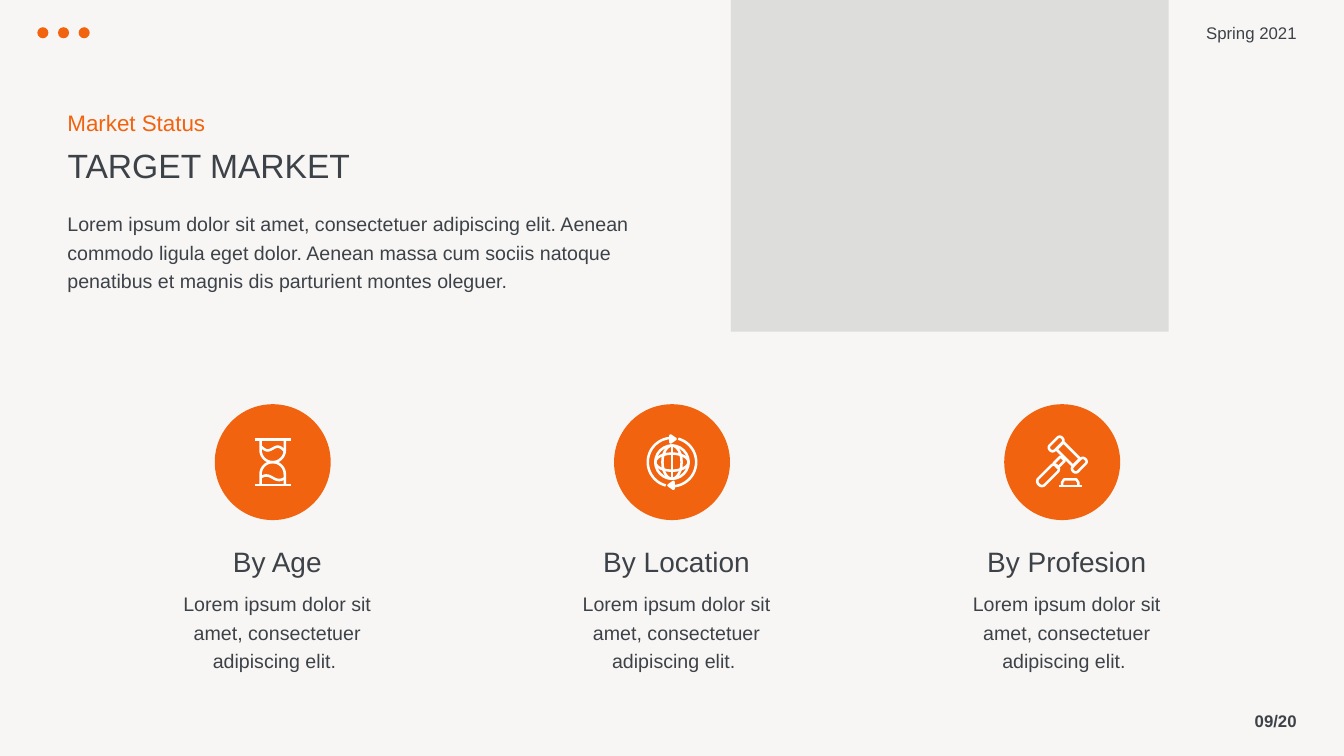
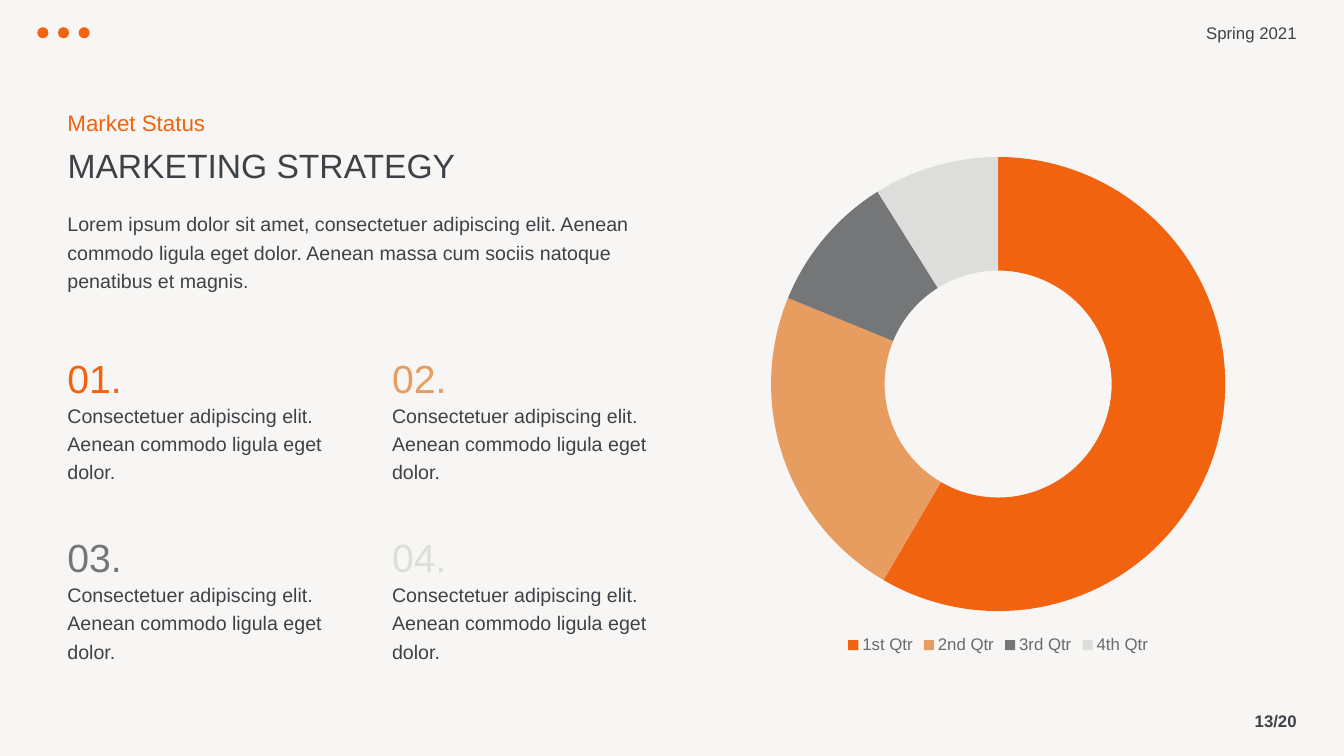
from dataclasses import dataclass
from math import cos, pi, radians, sin

from lxml.etree import SubElement
from pptx import Presentation
from pptx.chart.data import CategoryChartData
from pptx.dml.color import RGBColor
from pptx.enum.chart import XL_CHART_TYPE, XL_LEGEND_POSITION
from pptx.enum.shapes import MSO_CONNECTOR, MSO_SHAPE
from pptx.enum.text import MSO_ANCHOR, MSO_AUTO_SIZE, PP_ALIGN
from pptx.oxml.ns import qn
from pptx.util import Inches, Pt

FONT = "Arial"
PAPER = "F7F6F4"
INK = "3D4248"
ORANGE = "F1630F"
SAND = "E79D60"
GREY = "757677"
SILVER = "DDDDDC"
WHITE = "FFFFFF"
LEGEND = "6A6A6A"

LEFT = 0.57
ICON_STROKE = 1.8
CIRCLE_SIZE = 1.15
CIRCLE_TOP = 4.01

Spot = tuple[float, float]


@dataclass(frozen=True)
class Segment:
    name: str
    left: float


@dataclass(frozen=True)
class Quarter:
    name: str
    value: int
    color: str


@dataclass(frozen=True)
class Part:
    preset: MSO_SHAPE
    x: float
    y: float
    width: float
    height: float
    rotation: float = 0
    filled: bool = False


@dataclass(frozen=True)
class Bar:
    x: float
    y: float
    width: float
    height: float
    rotation: float
    radius: float = 0


SEGMENTS = [Segment("By Age", 1.46), Segment("By Location", 5.42), Segment("By Profesion", 9.29)]
QUARTERS = [
    Quarter("1st Qtr", 59, ORANGE),
    Quarter("2nd Qtr", 23, SAND),
    Quarter("3rd Qtr", 10, GREY),
    Quarter("4th Qtr", 9, SILVER),
]
GLOBE_PARTS = [
    Part(MSO_SHAPE.OVAL, 0, 0, 0.33, 0.33),
    Part(MSO_SHAPE.OVAL, 0, 0, 0.19, 0.33),
    Part(MSO_SHAPE.OVAL, 0, 0, 0.33, 0.17),
    Part(MSO_SHAPE.ISOSCELES_TRIANGLE, 0.01, -0.23, 0.07, 0.05, 90, True),
    Part(MSO_SHAPE.ISOSCELES_TRIANGLE, -0.01, 0.23, 0.07, 0.05, 270, True),
]
GAVEL_BARS = [
    Bar(-0.06, -0.18, 0.17, 0.07, -45, 0.03),
    Bar(0.17, 0.03, 0.17, 0.07, -45, 0.03),
    Bar(0.06, -0.08, 0.23, 0.1, 45),
    Bar(-0.03, 0, 0.1, 0.06, -45),
    Bar(-0.14, 0.13, 0.26, 0.09, -45, 0.04),
]


def rgb(color: str) -> RGBColor:
    return RGBColor.from_string(color)


def write_text(shape, text: str, *, size: float = 14, color: str = INK, bold: bool = False,
               align=PP_ALIGN.LEFT, anchor=MSO_ANCHOR.TOP, spacing: float = 1.0) -> None:
    frame = shape.text_frame
    frame.word_wrap = True
    frame.auto_size = MSO_AUTO_SIZE.NONE
    frame.vertical_anchor = anchor
    para = frame.paragraphs[0]
    para.alignment = align
    para.line_spacing = spacing
    span = para.add_run()
    span.text = text
    span.font.name = FONT
    span.font.size = Pt(size)
    span.font.bold = bold
    span.font.color.rgb = rgb(color)


def add_text(page, text: str, left: float, top: float, width: float, height: float, **style) -> None:
    box = page.shapes.add_textbox(Inches(left), Inches(top), Inches(width), Inches(height))
    write_text(box, text, **style)


def add_shape(shapes, preset, left: float, top: float, width: float, height: float, color: str):
    shape = shapes.add_shape(preset, Inches(left), Inches(top), Inches(width), Inches(height))
    shape.shadow.inherit = False
    shape.fill.solid()
    shape.fill.fore_color.rgb = rgb(color)
    shape.line.fill.background()
    return shape


def set_stroke(shape) -> None:
    shape.line.color.rgb = rgb(WHITE)
    shape.line.width = Pt(ICON_STROKE)


def add_part(shapes, center: Spot, part: Part) -> None:
    left = center[0] + part.x - part.width / 2
    top = center[1] + part.y - part.height / 2
    shape = add_shape(shapes, part.preset, left, top, part.width, part.height, WHITE)
    shape.rotation = part.rotation
    if not part.filled:
        shape.fill.background()
    set_stroke(shape)


def add_stroke(shapes, center: Spot, start: Spot, end: Spot) -> None:
    line = shapes.add_connector(
        MSO_CONNECTOR.STRAIGHT,
        Inches(center[0] + start[0]), Inches(center[1] + start[1]),
        Inches(center[0] + end[0]), Inches(center[1] + end[1]))
    SubElement(line.element.spPr, qn("a:effectLst"))
    set_stroke(line)


def add_outline(shapes, center: Spot, contours: list[list[Spot]]) -> None:
    tracks = [[(Inches(center[0] + x), Inches(center[1] + y)) for x, y in contour]
              for contour in contours]
    builder = shapes.build_freeform(*tracks[0][0])
    for index, track in enumerate(tracks):
        if index:
            builder.move_to(*track[0])
        builder.add_line_segments(track[1:], close=track[0] == track[-1])
    outline = builder.convert_to_shape()
    outline.shadow.inherit = False
    outline.fill.background()
    set_stroke(outline)


def arc(radius: float, start: float, end: float, steps: int = 36) -> list[Spot]:
    angles = [radians(start + (end - start) * step / steps) for step in range(steps + 1)]
    return [(radius * cos(angle), radius * sin(angle)) for angle in angles]


def wave(y: float, drop: float, height: float, steps: int = 24) -> list[Spot]:
    shares = [step / steps for step in range(steps + 1)]
    return [(-0.12 + 0.24 * share, y + drop * share + height * sin(2 * pi * share))
            for share in shares]


def bar_contour(bar: Bar) -> list[Spot]:
    across, down = bar.width / 2 - bar.radius, bar.height / 2 - bar.radius
    corners = [(across, down), (-across, down), (-across, -down), (across, -down)]
    points = [(x + dx, y + dy)
              for index, (x, y) in enumerate(corners)
              for dx, dy in arc(bar.radius, 90 * index, 90 * index + 90, 6)]
    turn = radians(bar.rotation)
    spots = [(bar.x + x * cos(turn) - y * sin(turn), bar.y + x * sin(turn) + y * cos(turn))
             for x, y in points]
    return [*spots, spots[0]]


def draw_hourglass(shapes, center: Spot) -> None:
    contours = [wave(-0.16, 0.05, 0.03), wave(0.15, 0.01, -0.02)]
    for side in (-1, 1):
        edge = 0.225 * side
        bulb = [(x, side * (0.12 - y)) for x, y in arc(0.12, 180, 0)]
        contours += [[(-0.18, edge), (0.18, edge)], [(-0.12, edge), *bulb, (0.12, edge)]]
    add_outline(shapes, center, contours)


def draw_globe(shapes, center: Spot) -> None:
    for part in GLOBE_PARTS:
        add_part(shapes, center, part)
    add_stroke(shapes, center, (0, -0.16), (0, 0.16))
    for start in (-75, 105):
        add_outline(shapes, center, [arc(0.24, start, start + 165)])


def draw_gavel(shapes, center: Spot) -> None:
    add_outline(shapes, center, [bar_contour(bar) for bar in GAVEL_BARS])
    block = [(0, 0.23), (0, 0.2), (0.02, 0.17), (0.14, 0.17), (0.16, 0.2), (0.16, 0.23)]
    add_outline(shapes, center, [block, [(-0.03, 0.235), (0.2, 0.235)]])


def start_page(deck, title: str, intro: str, number: str):
    page = deck.slides.add_slide(deck.slide_layouts[5])
    heading = page.shapes.title
    heading.left, heading.top = Inches(LEFT), Inches(1.39)
    heading.width, heading.height = Inches(5.32), Inches(0.5)
    write_text(heading, title, size=24, anchor=MSO_ANCHOR.BOTTOM)
    add_text(page, "Market Status", LEFT, 1.03, 3.55, 0.37, size=16, color=ORANGE)
    add_text(page, intro, LEFT, 2.01, 6.09, 0.93, spacing=1.2)
    corner = {"size": 12, "align": PP_ALIGN.RIGHT, "anchor": MSO_ANCHOR.MIDDLE}
    add_text(page, "Spring 2021", 11.38, 0.13, 1.58, 0.4, **corner)
    add_text(page, number, 9.96, 6.95, 3, 0.4, bold=True, **corner)
    dots = page.shapes.add_group_shape()
    for index in range(3):
        add_shape(dots.shapes, MSO_SHAPE.OVAL, 0.37 + 0.205 * index, 0.27, 0.11, 0.11, ORANGE)
    return page


def build_target_market(deck) -> None:
    page = start_page(
        deck, "TARGET MARKET",
        "Lorem ipsum dolor sit amet, consectetuer adipiscing elit. Aenean commodo ligula eget "
        "dolor. Aenean massa cum sociis natoque penatibus et magnis dis parturient montes oleguer.",
        "09/20")
    add_shape(page.shapes, MSO_SHAPE.RECTANGLE, 7.25, 0, 4.34, 3.29, SILVER)
    width = 2.58
    for segment, draw_icon in zip(SEGMENTS, (draw_hourglass, draw_globe, draw_gavel)):
        middle = segment.left + width / 2
        center = (middle - 0.045, CIRCLE_TOP + CIRCLE_SIZE / 2)
        add_shape(page.shapes, MSO_SHAPE.OVAL, center[0] - CIRCLE_SIZE / 2, CIRCLE_TOP,
                  CIRCLE_SIZE, CIRCLE_SIZE, ORANGE)
        draw_icon(page.shapes.add_group_shape().shapes, center)
        add_text(page, segment.name, segment.left, 5.34, width, 0.44, size=20,
                 align=PP_ALIGN.CENTER, anchor=MSO_ANCHOR.BOTTOM)
        add_text(page, "Lorem ipsum dolor sit amet, consectetuer adipiscing elit. ",
                 segment.left, 5.78, width, 0.93, align=PP_ALIGN.CENTER, spacing=1.2)


def add_quarter_chart(page) -> None:
    data = CategoryChartData()
    data.categories = [quarter.name for quarter in QUARTERS]
    data.add_series("Series 1", [quarter.value for quarter in QUARTERS])
    chart = page.shapes.add_chart(XL_CHART_TYPE.DOUGHNUT, Inches(6.84), Inches(1.42),
                                  Inches(6.12), Inches(5.11), data).chart
    chart.has_title = False
    chart.font.name = FONT
    chart.font.size = Pt(10)
    chart.has_legend = True
    chart.legend.position = XL_LEGEND_POSITION.BOTTOM
    chart.legend.include_in_layout = False
    chart.legend.font.name = FONT
    chart.legend.font.size = Pt(12)
    chart.legend.font.color.rgb = rgb(LEGEND)
    plot = chart.plots[0]
    plot.vary_by_categories = True
    for index, quarter in enumerate(QUARTERS):
        point = plot.series[0].points[index]
        point.format.fill.solid()
        point.format.fill.fore_color.rgb = rgb(quarter.color)
        point.format.line.fill.background()
    for hole in chart.element.iter(qn("c:holeSize")):
        hole.set("val", "75")


def build_marketing_strategy(deck) -> None:
    page = start_page(
        deck, "MARKETING STRATEGY",
        "Lorem ipsum dolor sit amet, consectetuer adipiscing elit. Aenean commodo ligula eget "
        "dolor. Aenean massa cum sociis natoque penatibus et magnis.",
        "13/20")
    add_quarter_chart(page)
    for index, quarter in enumerate(QUARTERS):
        row, column = divmod(index, 2)
        left, top = LEFT + 3.22 * column, 3.46 + 1.78 * row
        add_text(page, f"{index + 1:02}.", left, top, 1.57, 0.57, size=28,
                 color=quarter.color, anchor=MSO_ANCHOR.BOTTOM)
        add_text(page, "Consectetuer adipiscing elit. Aenean commodo ligula eget dolor.",
                 left, top + 0.45, 2.8, 0.93, spacing=1.2)


def main() -> None:
    deck = Presentation()
    deck.slide_width, deck.slide_height = Inches(13.33), Inches(7.5)
    backdrop = deck.slide_master.background.fill
    backdrop.solid()
    backdrop.fore_color.rgb = rgb(PAPER)
    build_target_market(deck)
    build_marketing_strategy(deck)
    deck.save("out.pptx")


if __name__ == "__main__":
    main()
